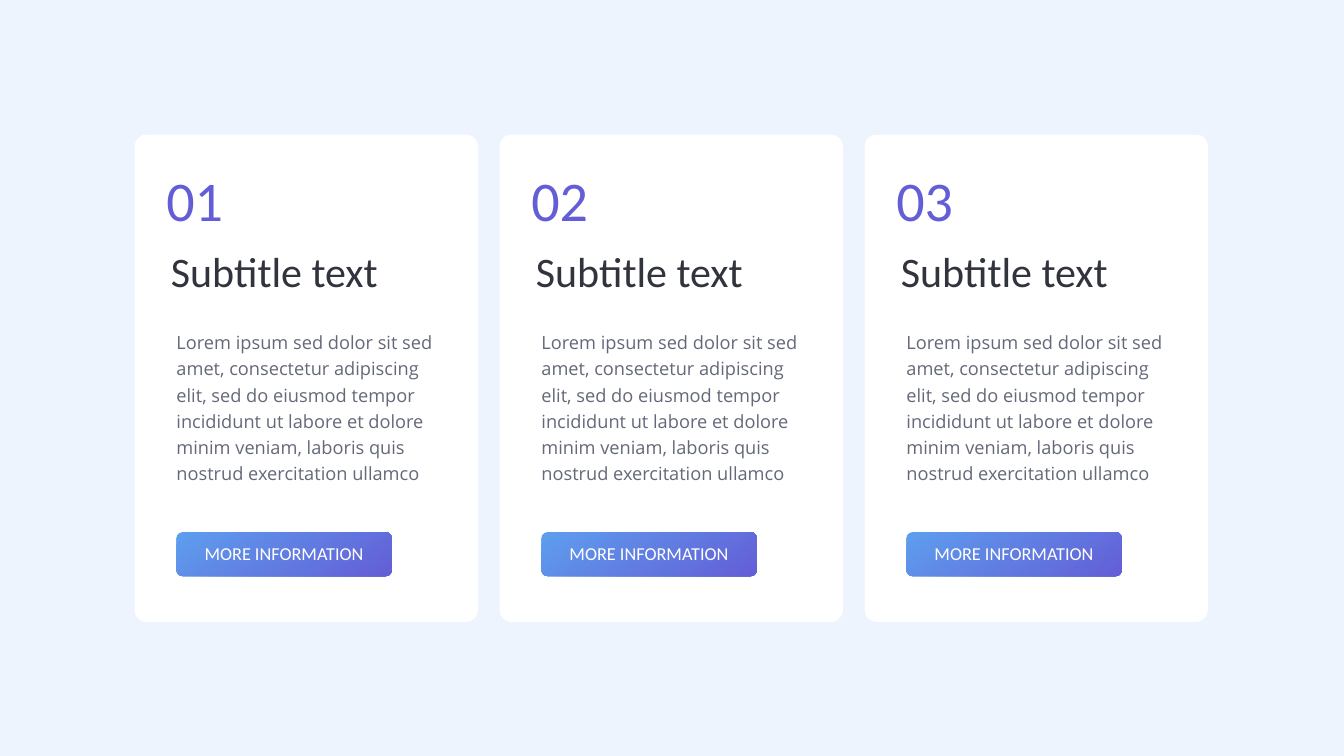
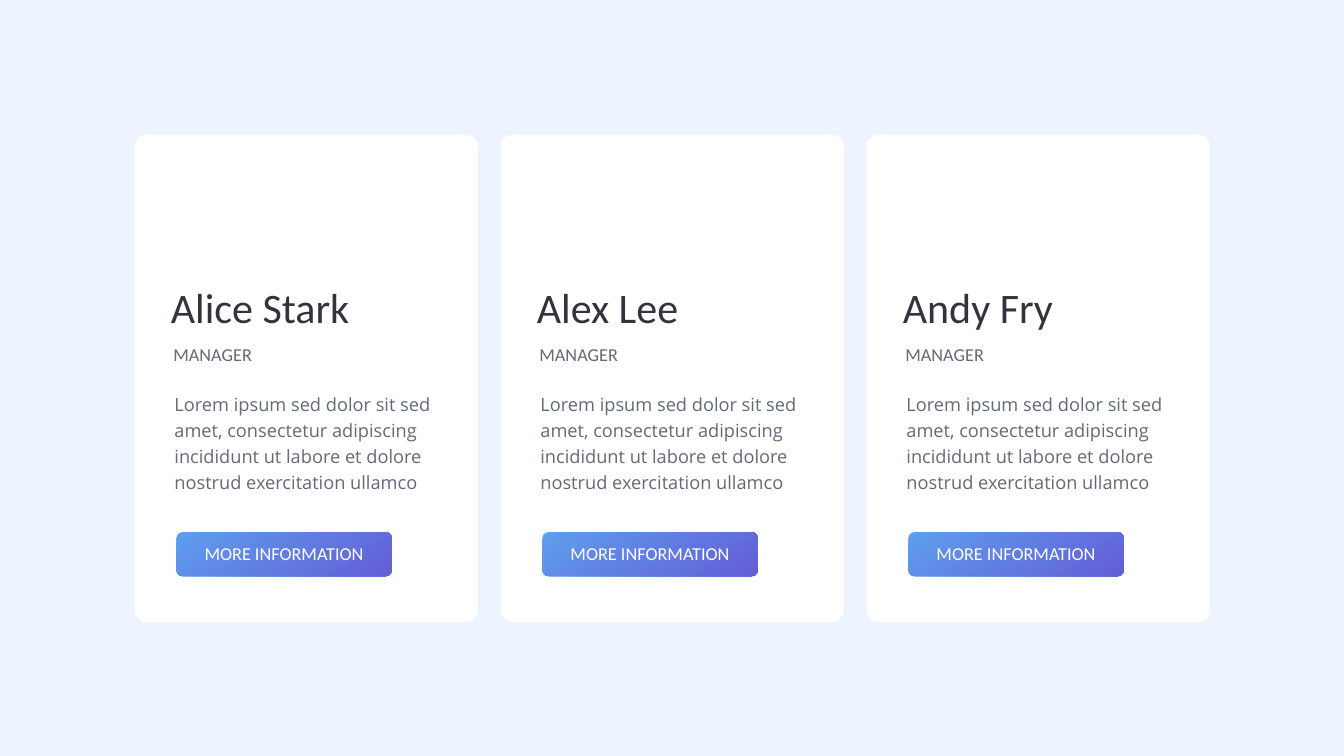
from typing import NamedTuple

from pptx import Presentation
from pptx.dml.color import RGBColor
from pptx.enum.shapes import MSO_SHAPE
from pptx.enum.text import MSO_ANCHOR, MSO_AUTO_SIZE, PP_ALIGN
from pptx.util import Inches, Pt

ROUND = MSO_SHAPE.ROUNDED_RECTANGLE
TOP, MIDDLE = MSO_ANCHOR.TOP, MSO_ANCHOR.MIDDLE
LEFT, CENTER = PP_ALIGN.LEFT, PP_ALIGN.CENTER
FIT = MSO_AUTO_SIZE.SHAPE_TO_FIT_TEXT

PALE = RGBColor(0xED, 0xF4, 0xFD)
WHITE = RGBColor(0xFF, 0xFF, 0xFF)
INK = RGBColor(0x31, 0x33, 0x3D)
GREY = RGBColor(0x64, 0x69, 0x79)
SLATE = RGBColor(0x64, 0x68, 0x79)
BLUE = RGBColor(0x5E, 0x9E, 0xEE)
VIOLET = RGBColor(0x63, 0x5E, 0xD6)

HEAD_FONT, BODY_FONT = "Calibri", "Open Sans"
MARGIN = 2.67  # left edge of the first card, and top of every card


class Box(NamedTuple):
    """A place on a card: x runs from the card's left edge, y from the slide's top."""
    x: float
    y: float
    wide: float
    high: float


class Style(NamedTuple):
    size: int
    color: RGBColor
    font: str = HEAD_FONT
    align: PP_ALIGN = LEFT
    anchor: MSO_ANCHOR = MIDDLE
    lines: float = 1.0


class Field(NamedTuple):
    """One text that every card on a slide has, with its wording card by card."""
    box: Box
    style: Style
    texts: list[str]


NUMBER = Style(80, VIOLET)
NAME = Style(60, INK)
ROLE = Style(26, SLATE)
BODY = Style(26, GREY, BODY_FONT, anchor=TOP, lines=1.2)
LABEL = Style(26, WHITE, align=CENTER)

CARD = Box(0, MARGIN, 6.81, 9.67)
BUTTON = Box(0.83, 10.56, 4.27, 0.87)
LINK = Field(Box(0.87, 10.7, 4.19, 0.54), LABEL, ["MORE INFORMATION"] * 3)

STEPS = [
    Field(Box(0.66, 4.81, 5.49, 1.11), NAME, ["Subtitle text"] * 3),
    Field(Box(0.77, 6.43, 5.45, 3.23), BODY, [
        "Lorem ipsum sed dolor sit sed amet, consectetur adipiscing elit, "
        "sed do eiusmod tempor incididunt ut labore et dolore minim veniam, "
        "laboris quis nostrud exercitation ullamco"] * 3),
    Field(Box(0.57, 3.24, 2.37, 1.44), NUMBER, ["01", "02", "03"]),
]
TEAM = [
    Field(Box(0.66, 5.53, 5.15, 1.11), NAME,
          ["Alice Stark", "Alex Lee", "Andy Fry"]),
    Field(Box(0.73, 7.65, 5.45, 2.19), BODY, [
        "Lorem ipsum sed dolor sit sed amet, consectetur adipiscing "
        "incididunt ut labore et dolore nostrud exercitation ullamco"] * 3),
    Field(Box(0.71, 6.75, 4.19, 0.54), ROLE, ["MANAGER"] * 3),
]


def place(box: Box, left: float) -> list[int]:
    return [Inches(n) for n in (left + box.x, box.y, box.wide, box.high)]


def add_panel(slide, box: Box, left: float, curve: float):
    """Add a rounded rectangle without line or shadow."""
    panel = slide.shapes.add_shape(ROUND, *place(box, left))
    panel.adjustments[0] = curve
    panel.shadow.inherit = False
    panel.line.fill.background()
    return panel


def add_card(slide, left: float) -> None:
    fill = add_panel(slide, CARD, left, 0.035).fill
    fill.solid()
    fill.fore_color.rgb = WHITE


def add_button(slide, left: float) -> None:
    fill = add_panel(slide, BUTTON, left, 0.132).fill
    fill.gradient()
    fill.gradient_angle = 304
    for stop, color in zip(fill.gradient_stops, (BLUE, VIOLET)):
        stop.color.rgb = color


def add_text(slide, box: Box, left: float, text: str, style: Style) -> None:
    frame = slide.shapes.add_textbox(*place(box, left)).text_frame
    frame.word_wrap = True
    frame.auto_size = FIT
    frame.vertical_anchor = style.anchor
    frame.margin_left = frame.margin_right = Inches(0.06)
    frame.margin_top = frame.margin_bottom = Inches(0.06)
    line = frame.paragraphs[0]
    line.text = text
    line.alignment = style.align
    line.line_spacing = style.lines
    line.font.size = Pt(style.size)
    line.font.name = style.font
    line.font.color.rgb = style.color


def add_slide(deck, fields: list[Field], pitch: float) -> None:
    slide = deck.slides.add_slide(deck.slide_layouts[6])
    back = slide.background.fill
    back.solid()
    back.fore_color.rgb = PALE
    for col in range(3):
        left = MARGIN + col * pitch
        add_card(slide, left)
        add_button(slide, left)
        for field in [*fields, LINK]:
            add_text(slide, field.box, left, field.texts[col], field.style)


def main() -> None:
    deck = Presentation()
    deck.slide_width, deck.slide_height = Inches(26.66), Inches(15)
    add_slide(deck, STEPS, 7.24)
    add_slide(deck, TEAM, 7.26)
    deck.save("out.pptx")


if __name__ == "__main__":
    main()
